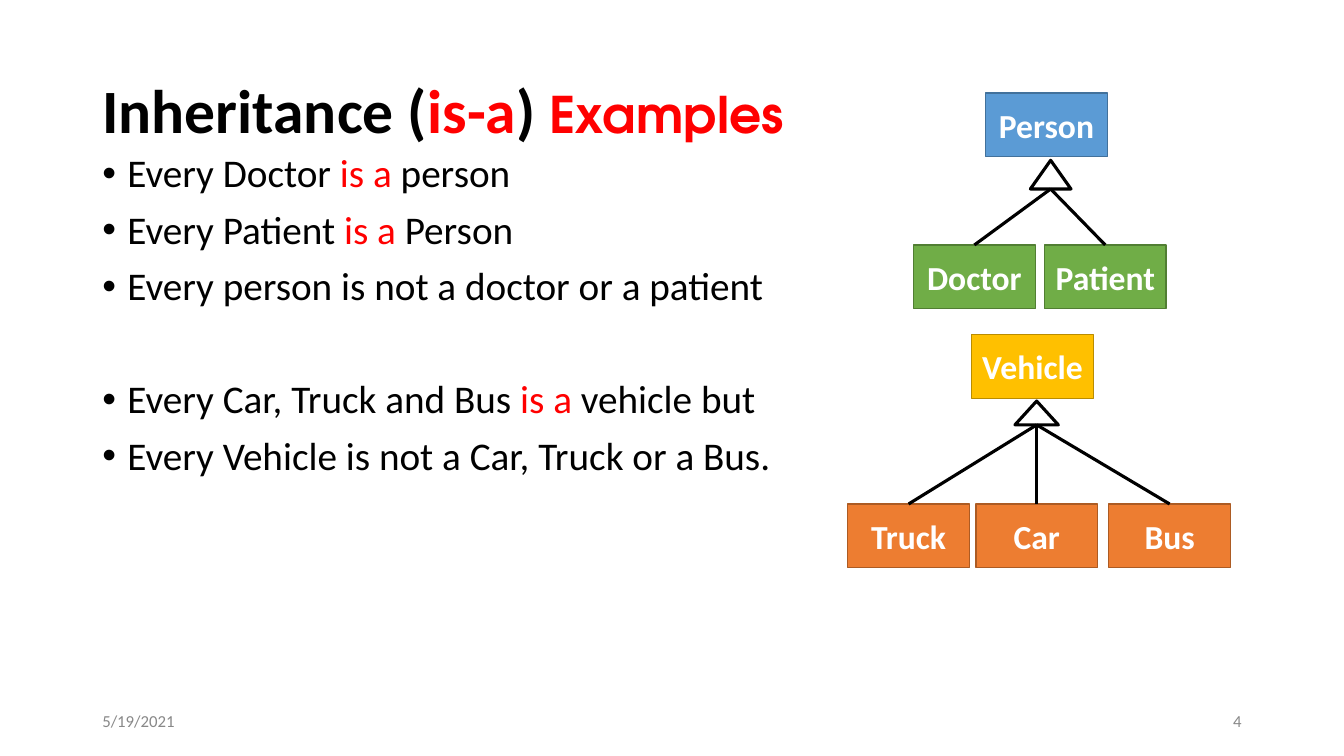
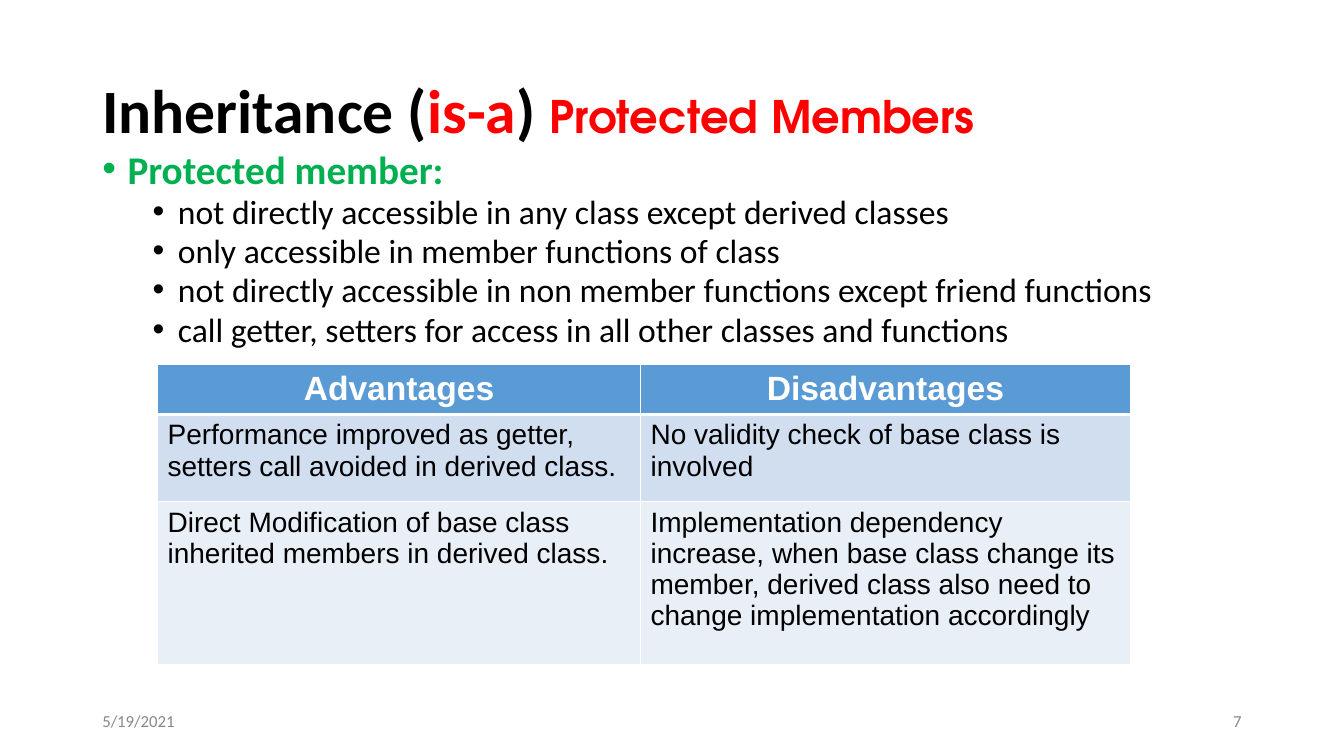
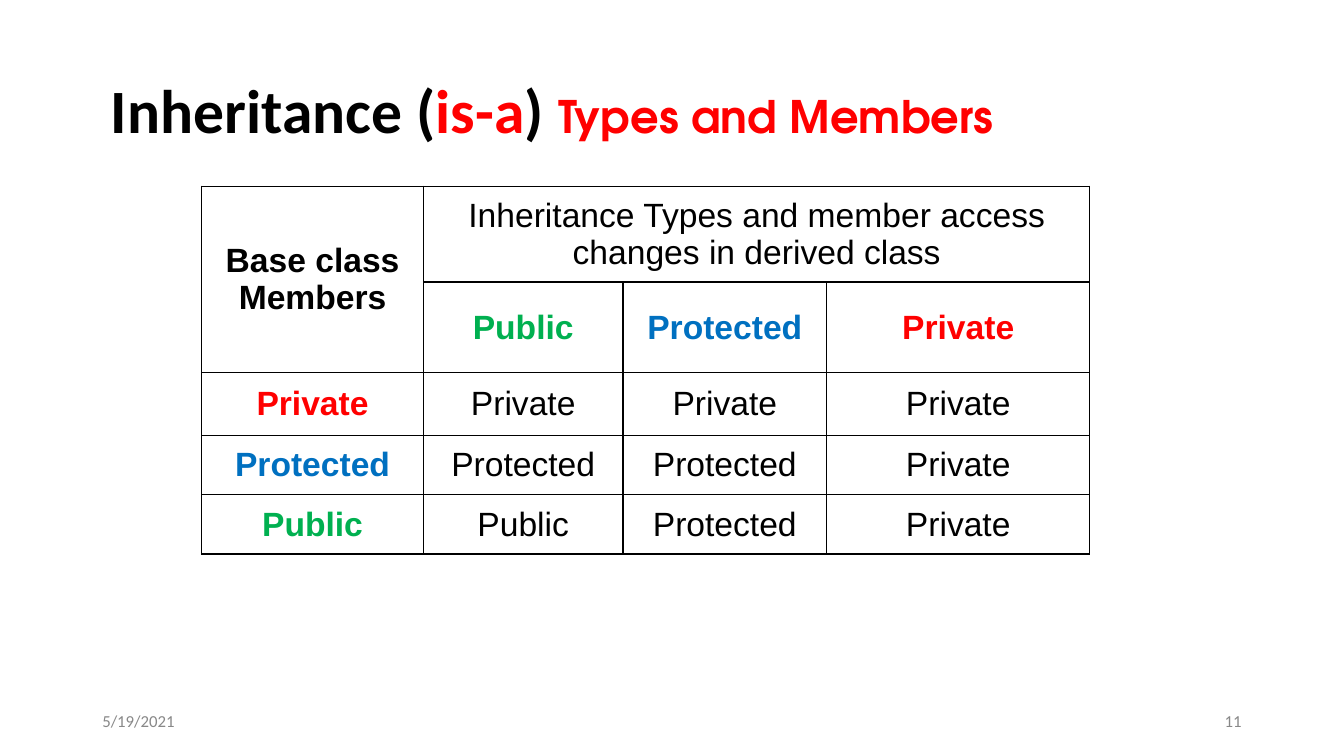
import pptx
import pptx.util
import pptx.dml.color
import pptx.enum.shapes
import pptx.enum.text
import pptx.oxml
import pptx.oxml.ns
import lxml.etree

Pt = pptx.util.Pt
RGBColor = pptx.dml.color.RGBColor
Align = pptx.enum.text.PP_ALIGN
Anchor = pptx.enum.text.MSO_ANCHOR
Shape = pptx.enum.shapes.MSO_SHAPE
qn = pptx.oxml.ns.qn

# Shared colours and fonts
BLACK = RGBColor(0x00, 0x00, 0x00)
WHITE = RGBColor(0xFF, 0xFF, 0xFF)
RED = RGBColor(0xFF, 0x00, 0x00)
GREEN = RGBColor(0x00, 0xB0, 0x50)
BLUE = RGBColor(0x00, 0x70, 0xC0)
GRAY = RGBColor(0x88, 0x88, 0x88)
HEADER_BLUE = RGBColor(0x5B, 0x9B, 0xD5)
BAND_DARK = RGBColor(0xD0, 0xDE, 0xEF)
BAND_LIGHT = RGBColor(0xE9, 0xEF, 0xF7)
# Box styles: fill and outline
BLUE_BOX = (HEADER_BLUE, RGBColor(0x42, 0x71, 0x9B))
GREEN_BOX = (RGBColor(0x70, 0xAD, 0x47), RGBColor(0x51, 0x7E, 0x33))
YELLOW_BOX = (RGBColor(0xFF, 0xC0, 0x00), RGBColor(0xBA, 0x8C, 0x00))
ORANGE_BOX = (RGBColor(0xED, 0x7D, 0x31), RGBColor(0xAC, 0x5B, 0x23))

BODY_FONT = "Calibri"
TOPIC_FONT = "TeX Gyre Adventor"
TABLE_FONT = "Arial"

MARGIN = 66
BOX_WIDTH, BOX_HEIGHT = 87, 45.5
MEMBER_COLORS = {"Public": GREEN, "Protected": BLUE, "Private": RED}


# Text
def set_font(font, size, color, bold=False, name=BODY_FONT):
    font.name = name
    font.size = Pt(size)
    font.bold = bold
    font.color.rgb = color


def add_spans(para, *spans):
    """Each span is plain text, or a (text, colour) pair."""
    for item in spans:
        text, color = item if isinstance(item, tuple) else (item, None)
        span = para.add_run()
        span.text = text
        if color is not None:
            span.font.color.rgb = color


def add_bullet(para, color, left, hang=18):
    props = para._p.get_or_add_pPr()
    props.set("marL", str(Pt(left)))
    props.set("indent", str(-Pt(hang)))
    bullet_color = lxml.etree.SubElement(props, qn("a:buClr"))
    lxml.etree.SubElement(bullet_color, qn("a:srgbClr"), val=str(color))
    lxml.etree.SubElement(props, qn("a:buFont"), typeface="Arial")
    lxml.etree.SubElement(props, qn("a:buChar"), char="•")


def add_text_box(page, left, top, width, height):
    box = page.shapes.add_textbox(Pt(left), Pt(top), Pt(width), Pt(height))
    box.text_frame.word_wrap = True
    return box.text_frame


def add_bullets(page, width, height, items, spacing):
    """Each item: spans, size, colour, bold, left indent, space before."""
    frame = add_text_box(page, MARGIN, 106.5, width, height)
    for index, (spans, size, color, bold, left, before) in enumerate(items):
        para = frame.add_paragraph() if index else frame.paragraphs[0]
        para.line_spacing = spacing
        para.space_before = Pt(before)
        add_bullet(para, color, left)
        set_font(para.font, size, color, bold)
        add_spans(para, *spans)


def add_footer(page, left, text, align):
    frame = add_text_box(page, left, 500.5, 216, 28.5)
    frame.vertical_anchor = Anchor.MIDDLE
    para = frame.paragraphs[0]
    para.alignment = align
    set_font(para.font, 12, GRAY)
    add_spans(para, text)


def add_page(deck, topic, topic_size, number, title_left=MARGIN):
    page = deck.slides.add_slide(deck.slide_layouts[5])
    title = page.shapes.title
    title.left, title.top = Pt(title_left), Pt(29)
    title.width, title.height = Pt(894 - title_left), Pt(104)
    frame = title.text_frame
    frame.auto_size = pptx.enum.text.MSO_AUTO_SIZE.NONE
    frame.vertical_anchor = Anchor.MIDDLE
    para = frame.paragraphs[0]
    para.alignment = Align.LEFT
    para.line_spacing = 0.9
    set_font(para.font, 44, BLACK, True)
    add_spans(para, "Inheritance (", ("is-a", RED), ") ", (topic, RED))
    topic_font = para.runs[-1].font
    topic_font.name = TOPIC_FONT
    topic_font.size = Pt(topic_size)
    add_footer(page, MARGIN, "5/19/2021", Align.LEFT)
    add_footer(page, 678, str(number), Align.RIGHT)
    return page


# Class diagrams
def add_figure(page, kind, left, top, width, height, fill, line, weight):
    shape = page.shapes.add_shape(kind, Pt(left), Pt(top), Pt(width), Pt(height))
    shape.shadow.inherit = False
    shape.fill.solid()
    shape.fill.fore_color.rgb = fill
    shape.line.color.rgb = line
    shape.line.width = Pt(weight)
    return shape


def add_class_box(page, name, left, top, style):
    box = add_figure(page, Shape.RECTANGLE, left, top, BOX_WIDTH, BOX_HEIGHT, *style, 1)
    frame = box.text_frame
    frame.vertical_anchor = Anchor.MIDDLE
    para = frame.paragraphs[0]
    para.alignment = Align.CENTER
    set_font(para.font, 24, WHITE, True)
    add_spans(para, name)


def add_line(page, start, end):
    line = page.shapes.add_connector(
        pptx.enum.shapes.MSO_CONNECTOR.STRAIGHT, *map(Pt, start + end))
    line.line.color.rgb = BLACK
    line.line.width = Pt(2.25)
    lxml.etree.SubElement(line._element.spPr, qn("a:effectLst"))


def add_class_tree(page, parent, triangle, children, child_top, child_style):
    """parent: name, left, top, style; children: name to left edge."""
    add_class_box(page, *parent)
    add_figure(page, Shape.ISOSCELES_TRIANGLE, *triangle, WHITE, BLACK, 2.25)
    left, top, width, height = triangle
    joint = (left + width / 2, top + height)
    for name, child_left in children.items():
        add_class_box(page, name, child_left, child_top, child_style)
        add_line(page, joint, (child_left + BOX_WIDTH / 2, child_top))


# Tables
def add_table(page, left, top, widths, heights):
    table = page.shapes.add_table(
        len(heights), len(widths), Pt(left), Pt(top),
        Pt(sum(widths)), Pt(sum(heights))).table
    table.first_row = table.horz_banding = False
    for column, width in zip(table.columns, widths):
        column.width = Pt(width)
    for row, height in zip(table.rows, heights):
        row.height = Pt(height)
    return table


def style_cell(cell, border, fill=None, bottom=1):
    props = cell._tc.get_or_add_tcPr()
    for side in "LRTB":
        weight = bottom if side == "B" else 1
        line = lxml.etree.SubElement(props, qn("a:ln" + side), w=str(Pt(weight)))
        solid = lxml.etree.SubElement(line, qn("a:solidFill"))
        lxml.etree.SubElement(solid, qn("a:srgbClr"), val=str(border))
    if fill is None:
        cell.fill.background()
    else:
        cell.fill.solid()
        cell.fill.fore_color.rgb = fill


def fill_cell(cell, text, size=24, color=BLACK, bold=False,
              align=Align.CENTER, anchor=Anchor.MIDDLE):
    cell.vertical_anchor = anchor
    cell.text = text
    for para in cell.text_frame.paragraphs:
        para.alignment = align
        set_font(para.font, size, color, bold, TABLE_FONT)


# Slides
def build_examples(deck):
    page = add_page(deck, "Examples", 36, 4)
    is_a = ("is a", RED)
    lines = [
        (("Every Doctor ", is_a, " person"), 0),
        (("Every Patient ", is_a, " Person"), 10),
        (("Every person is not a doctor or a patient",), 10),
        (("Every Car, Truck and Bus ", is_a, " vehicle but"), 50.5),
        (("Every Vehicle is not a Car, Truck or a Bus.",), 10),
    ]
    items = [(spans, 28, BLACK, False, 18, before) for spans, before in lines]
    add_bullets(page, 600.5, 342.5, items, 0.9)
    add_class_tree(page, ("Person", 704, 66.5, BLUE_BOX), (736, 114.5, 29, 20.5),
                   {"Doctor": 652.5, "Patient": 746}, 175, GREEN_BOX)
    add_class_tree(page, ("Vehicle", 694, 239, YELLOW_BOX), (725, 286.5, 31, 17),
                   {"Truck": 605.5, "Car": 697, "Bus": 792}, 360, ORANGE_BOX)


def build_protected_members(deck):
    page = add_page(deck, "Protected Members", 32, 7)
    lines = [
        "not directly accessible in any class except derived classes",
        "only accessible in member functions of class",
        "not directly accessible in non member functions except friend functions",
        "call getter, setters for access in all other classes and functions",
    ]
    items = [(("Protected member:",), 28, GREEN, True, 18, 0)]
    items += [((line,), 24, BLACK, False, 54, 5) for line in lines]
    add_bullets(page, 769, 160.5, items, 0.8)

    rows = [
        ("Advantages", "Disadvantages"),
        ("Performance improved as getter, setters call avoided in derived class.",
         "No validity check of base class is involved"),
        ("Direct Modification of base class inherited members in derived class.",
         "Implementation dependency increase, when base class change its member, "
         "derived class also need to change implementation accordingly"),
    ]
    table = add_table(page, 112.5, 260, (345, 350), (30, 62.5, 116.5))
    for row, (texts, fill) in enumerate(zip(rows, (HEADER_BLUE, BAND_DARK, BAND_LIGHT))):
        for column, text in enumerate(texts):
            cell = table.cell(row, column)
            if row == 0:
                style_cell(cell, WHITE, fill, bottom=3)
                fill_cell(cell, text, color=WHITE, bold=True)
            else:
                style_cell(cell, WHITE, fill)
                fill_cell(cell, text, 20, align=Align.LEFT, anchor=Anchor.TOP)


def build_types_and_members(deck):
    page = add_page(deck, "Types and Members", 32, 11, title_left=72)
    table = add_table(page, 144, 133, (158.5, 142.5, 145.5, 188),
                      (68.5, 60.5, 44.5, 42.5, 42.5))
    for row in table.rows:
        for cell in row.cells:
            style_cell(cell, BLACK)
    table.cell(0, 0).merge(table.cell(1, 0))
    table.cell(0, 1).merge(table.cell(0, 3))
    fill_cell(table.cell(0, 0), "Base class Members", bold=True)
    fill_cell(table.cell(0, 1),
              "Inheritance Types and member access\nchanges in derived class")

    for column, access in enumerate(MEMBER_COLORS, 1):
        fill_cell(table.cell(1, column), access, color=MEMBER_COLORS[access], bold=True)
    # A member gets the stricter of its own access and the inheritance type
    levels = list(MEMBER_COLORS)
    for row, member in enumerate(reversed(levels), 2):
        fill_cell(table.cell(row, 0), member, color=MEMBER_COLORS[member], bold=True)
        for column, access in enumerate(levels, 1):
            fill_cell(table.cell(row, column), max(member, access, key=levels.index))


def main():
    deck = pptx.Presentation()
    deck.slide_width, deck.slide_height = Pt(960), Pt(540)
    build_examples(deck)
    build_protected_members(deck)
    build_types_and_members(deck)
    deck.save("out.pptx")


if __name__ == "__main__":
    main()
